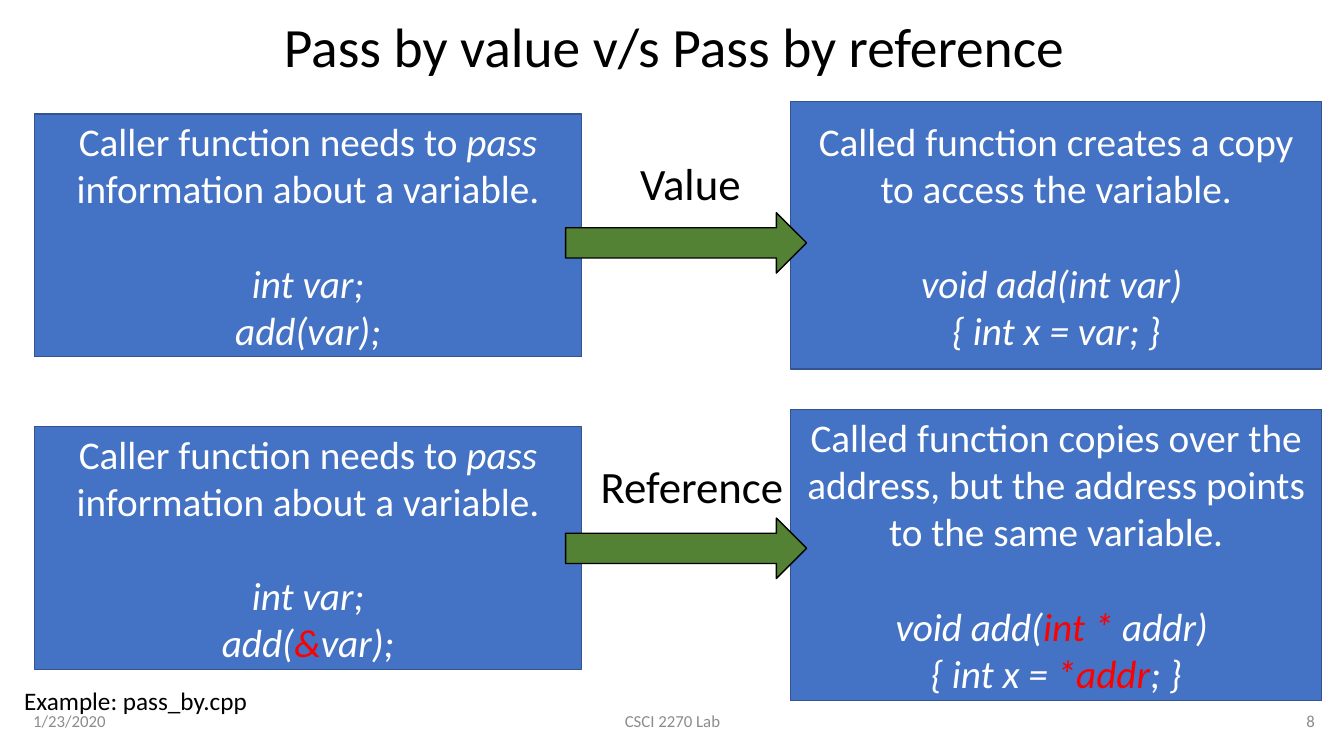
from pptx import Presentation
from pptx.dml.color import RGBColor
from pptx.enum.shapes import MSO_SHAPE
from pptx.enum.text import MSO_ANCHOR, PP_ALIGN
from pptx.util import Inches, Pt

RECT, ARROW = MSO_SHAPE.RECTANGLE, MSO_SHAPE.RIGHT_ARROW
TOP, MIDDLE = MSO_ANCHOR.TOP, MSO_ANCHOR.MIDDLE
LEFT, CENTER, RIGHT = PP_ALIGN.LEFT, PP_ALIGN.CENTER, PP_ALIGN.RIGHT
BLACK, WHITE, GREY, RED = "000000", "FFFFFF", "8C8C8C", "FF0000"
BLUE, DARK_BLUE, GREEN = "4472C4", "325491", "548235"
BLANK_LINE = Pt(34)


def rgb(color):
    """Turn a hex string into a colour."""
    return RGBColor.from_string(color)


def add_filled(shape_type, box, fill, line):
    """Add a flat preset shape with a 1 pt outline."""
    sp = s.shapes.add_shape(shape_type, *map(Inches, box))
    sp.shadow.inherit = False
    sp.fill.solid()
    sp.fill.fore_color.rgb = rgb(fill)
    sp.line.color.rgb = rgb(line)
    sp.line.width = Pt(1)
    return sp


prs = Presentation()
prs.slide_width, prs.slide_height = Inches(13.33), Inches(7.5)
s = prs.slides.add_slide(prs.slide_layouts[6])

# Bars switch italics in the statement and red in the code lines.
caller = "Caller function needs to |pass| information about a variable."
panels = [
    ((0.34, 1.13, 5.43, 2.41), caller, ["int var;", "add(var);"]),
    ((7.84, 1.01, 5.27, 2.65),
     "Called function creates a copy to access the variable.",
     ["void add(int var) ", "{ int x = var; }"]),
    ((0.34, 4.23, 5.43, 2.41), caller, ["int var;", "add(|&|var);"]),
    ((7.84, 4.06, 5.27, 2.89),
     "Called function copies over the address, but the address points "
     "to the same variable.",
     ["void add(|int * |addr) ", "{ int x = |*addr|; }"]),
]
for box, statement, code in panels:
    tf = add_filled(RECT, box, BLUE, DARK_BLUE).text_frame
    tf.word_wrap = True
    tf.vertical_anchor = MIDDLE
    for row, text in enumerate([statement, *code]):
        p = tf.add_paragraph() if row else tf.paragraphs[0]
        p.alignment = CENTER
        p.font.name, p.font.size = "Calibri", Pt(28)
        if row == 1:
            p.space_before = BLANK_LINE
        for part, words in enumerate(text.split("|")):
            marked = part % 2 == 1
            r = p.add_run()
            r.text = words
            r.font.italic = row > 0 or marked
            r.font.color.rgb = rgb(RED if row and marked else WHITE)

for top in (2.11, 5.14):
    add_filled(ARROW, (5.61, top, 2.39, 0.6), GREEN, BLACK)

labels = [
    ("Pass by value v/s Pass by reference", (0.23, 0.15, 12.91, 0.6),
     39.6, BLACK, CENTER, MIDDLE),
    ("1/23/2020", (0.23, 6.95, 3, 0.4), 12, GREY, LEFT, MIDDLE),
    ("CSCI 2270 Lab", (4.42, 6.95, 4.5, 0.4), 12, GREY, CENTER, MIDDLE),
    ("8", (10.14, 6.95, 3, 0.4), 12, GREY, RIGHT, MIDDLE),
    ("Value", (6.25, 1.5, 1.31, 0.64), 32, BLACK, LEFT, TOP),
    ("Reference", (5.86, 4.5, 2.14, 0.64), 32, BLACK, LEFT, TOP),
    ("Example: pass_by.cpp", (0.14, 6.75, 3.42, 0.4), 18, BLACK, LEFT, TOP),
]
for text, box, size, color, align, anchor in labels:
    tf = s.shapes.add_textbox(*map(Inches, box)).text_frame
    tf.word_wrap = True
    tf.vertical_anchor = anchor
    p = tf.paragraphs[0]
    p.text = text
    p.alignment = align
    p.font.name, p.font.size = "Calibri", Pt(size)
    p.font.color.rgb = rgb(color)

prs.save("out.pptx")
